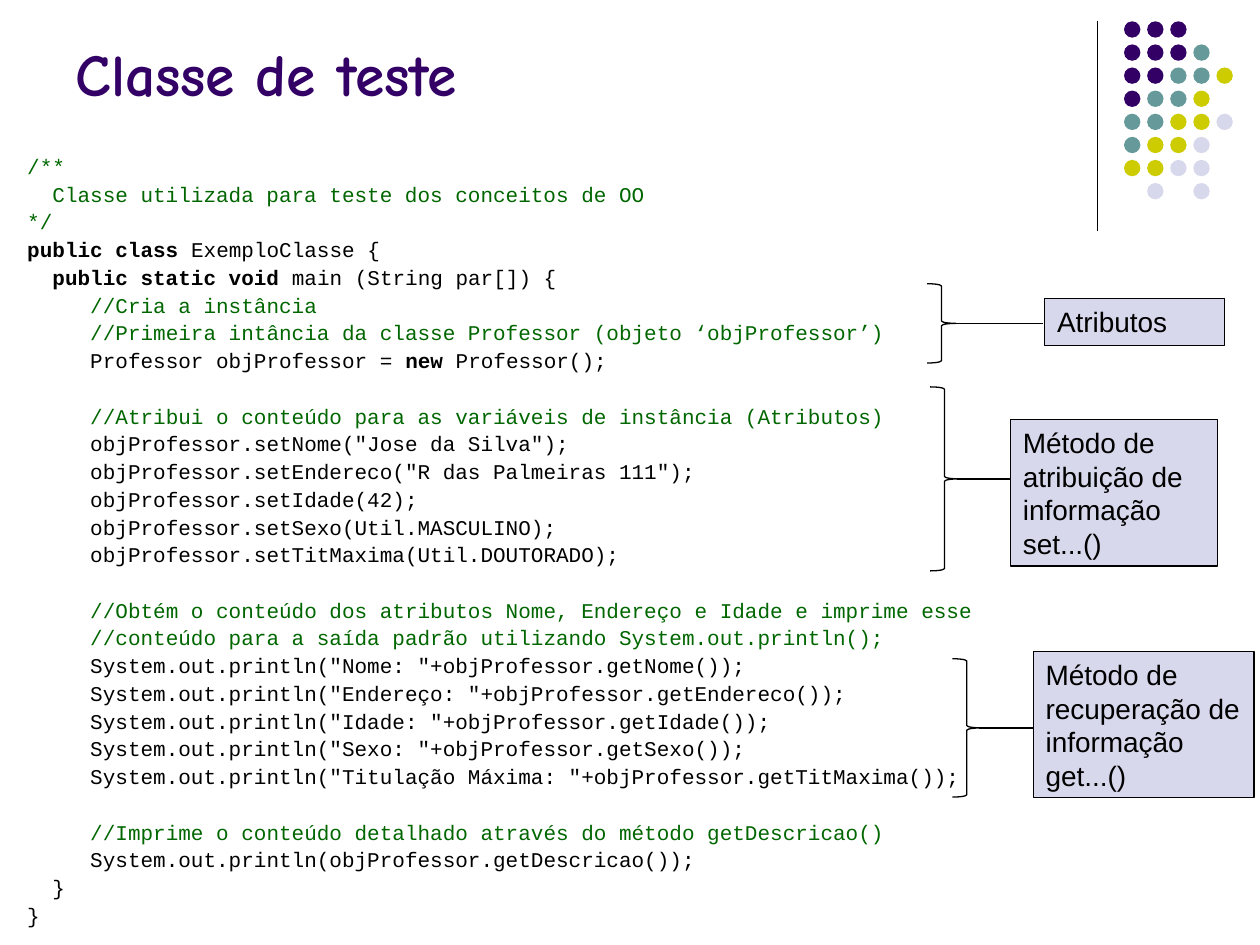
from lxml import etree
from pptx import Presentation
from pptx.dml.color import RGBColor
from pptx.enum.shapes import MSO_CONNECTOR, MSO_SHAPE
from pptx.enum.text import MSO_ANCHOR, PP_ALIGN
from pptx.oxml.ns import qn
from pptx.util import Cm, Pt

COLORS = {"title": "330066", "comment": "006600", "code": "000000", "line": "000000",
          "box": "D8D8EC", "P": "330066", "T": "669999", "Y": "CCCC00", "L": "D8D8EC"}
FORMATS = {
    "title": {"name": "Comic Neue", "size": Pt(34), "bold": True},
    "code": {"name": "Courier New", "size": Pt(12), "bold": False},
    "box": {"name": "Arial", "size": Pt(16), "bold": False},
}
TITLE = "Classe de teste"
DOTS = ["PPP", "PPPT", "PPTTY", "PTTY", "TTYYL", "TYYL", "YYLL", " L L"]

# Each entry: indent in characters, colour, text with bold parts between backticks
CODE_BLOCKS = [
    [(0, "comment", "/**"),
     (2, "comment", "Classe utilizada para teste dos conceitos de OO"),
     (0, "comment", "*/"),
     (0, "code", "`public class `ExemploClasse {"),
     (2, "code", "`public static void` main (String par[]) {"),
     (5, "comment", "//Cria a instância"),
     (5, "comment", "//Primeira intância da classe Professor (objeto ‘objProfessor’)"),
     (5, "code", "Professor objProfessor = `new` Professor();")],
    [(5, "comment", "//Atribui o conteúdo para as variáveis de instância (Atributos)"),
     (5, "code", 'objProfessor.setNome("Jose da Silva");'),
     (5, "code", 'objProfessor.setEndereco("R das Palmeiras 111");'),
     (5, "code", "objProfessor.setIdade(42);"),
     (5, "code", "objProfessor.setSexo(Util.MASCULINO);"),
     (5, "code", "objProfessor.setTitMaxima(Util.DOUTORADO);")],
    [(5, "comment", "//Obtém o conteúdo dos atributos Nome, Endereço e Idade e imprime esse"),
     (5, "comment", "//conteúdo para a saída padrão utilizando System.out.println();"),
     (5, "code", 'System.out.println("Nome: "+objProfessor.getNome());'),
     (5, "code", 'System.out.println("Endereço: "+objProfessor.getEndereco());'),
     (5, "code", 'System.out.println("Idade: "+objProfessor.getIdade());'),
     (5, "code", 'System.out.println("Sexo: "+objProfessor.getSexo());'),
     (5, "code", 'System.out.println("Titulação Máxima: "+objProfessor.getTitMaxima());')],
    [(5, "comment", "//Imprime o conteúdo detalhado através do método getDescricao()"),
     (5, "code", "System.out.println(objProfessor.getDescricao());"),
     (2, "code", "}"),
     (0, "code", "}")],
]
CALLOUTS = [
    {"text": "Atributos",
     "box": (21.06, 6.02, 3.63, 0.94), "brace": (18.69, 5.72, 0.58, 1.6)},
    {"text": "Método de atribuição de informação set...()",
     "box": (20.37, 8.46, 4.17, 2.95), "brace": (18.75, 7.8, 0.58, 3.71)},
    {"text": "Método de recuperação de informação get...()",
     "box": (20.83, 13.13, 4.45, 2.95), "brace": (19.2, 13.28, 0.58, 2.79)},
]
CHAR_WIDTH, LINE_PITCH = 7.2, Pt(15.84)
DOT_LEFT, DOT_TOP, DOT_SIZE, DOT_PITCH = 22.66, 0.43, 0.33, 3.26 / 7


def rgb(key):
    return RGBColor.from_string(COLORS[key])


def add_run(p, text, style, color, **changes):
    r = p.add_run()
    r.text = text
    for name, value in {**FORMATS[style], **changes}.items():
        setattr(r.font, name, value)
    r.font.color.rgb = rgb(color)


def add_text_box(shapes, at, anchor):
    tf = shapes.add_textbox(*map(Cm, at)).text_frame
    tf.word_wrap = True
    tf.vertical_anchor = anchor
    return tf


def add_shape(shapes, kind, at, fill=None, outlined=True):
    sp = shapes.add_shape(kind, *map(Cm, at))
    sp.shadow.inherit = False
    if fill:
        sp.fill.solid()
        sp.fill.fore_color.rgb = rgb(fill)
    else:
        sp.fill.background()
    if outlined:
        sp.line.color.rgb = rgb("line")
        sp.line.width = Pt(0.75)
    else:
        sp.line.fill.background()
    return sp


def add_line(shapes, *ends):
    line = shapes.add_connector(MSO_CONNECTOR.STRAIGHT, *map(Cm, ends))
    line.line.color.rgb = rgb("line")
    line.line.width = Pt(0.75)
    etree.SubElement(line._element.spPr, qn("a:effectLst"))


def add_dots(shapes):
    for row, keys in enumerate(DOTS):
        for col, key in enumerate(keys):
            if key != " ":
                at = (DOT_LEFT + col * DOT_PITCH, DOT_TOP + row * DOT_PITCH, DOT_SIZE, DOT_SIZE)
                add_shape(shapes, MSO_SHAPE.OVAL, at, key, outlined=False)


def add_code(shapes):
    tf = add_text_box(shapes, (0.3, 2.92, 24.31, 15.8), MSO_ANCHOR.TOP)
    p = tf.paragraphs[0]
    for b, block in enumerate(CODE_BLOCKS):
        for n, (indent, color, text) in enumerate(block):
            if b or n:
                p = tf.add_paragraph()
            p.line_spacing = LINE_PITCH
            p.space_before = LINE_PITCH if b and not n else Pt(0)
            pPr = p._p.get_or_add_pPr()
            pPr.set("marL", str(Pt(indent * CHAR_WIDTH)))
            pPr.set("indent", "0")
            for i, part in enumerate(text.split("`")):
                if part:
                    add_run(p, part, "code", color, bold=i % 2 == 1)


def add_callout(shapes, text, box, brace):
    x, y, _, h = brace
    middle = y + h / 2
    add_line(shapes, x + 0.54, middle, x + 2.34, middle)
    sp = add_shape(shapes, MSO_SHAPE.RECTANGLE, box, "box")
    tf = sp.text_frame
    tf.word_wrap = True
    tf.vertical_anchor = MSO_ANCHOR.TOP
    p = tf.paragraphs[0]
    p.alignment = PP_ALIGN.LEFT
    add_run(p, text, "box", "code")
    sp = add_shape(shapes, MSO_SHAPE.RIGHT_BRACE, brace)
    sp.adjustments[0] = 0.08


def main():
    prs = Presentation()
    prs.slide_width, prs.slide_height = Cm(25.4), Cm(19.05)
    s = prs.slides.add_slide(prs.slide_layouts[6])
    add_line(s.shapes, 22.12, 0.43, 22.12, 4.65)
    add_dots(s.shapes.add_group_shape().shapes)
    tf = add_text_box(s.shapes, (1.27, 0.33, 20.96, 1.98), MSO_ANCHOR.BOTTOM)
    add_run(tf.paragraphs[0], TITLE, "title", "title")
    add_code(s.shapes)
    for callout in CALLOUTS:
        add_callout(s.shapes.add_group_shape().shapes, **callout)
    prs.save("out.pptx")


if __name__ == "__main__":
    main()
